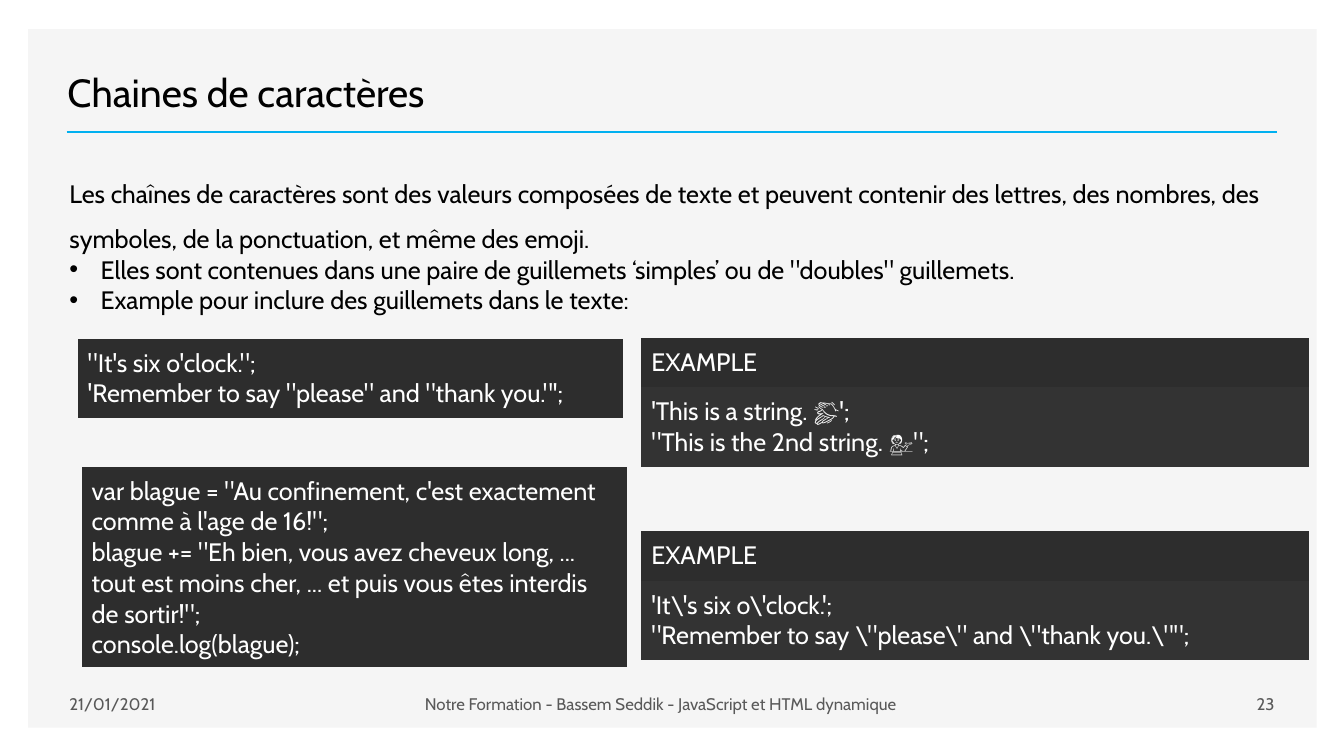
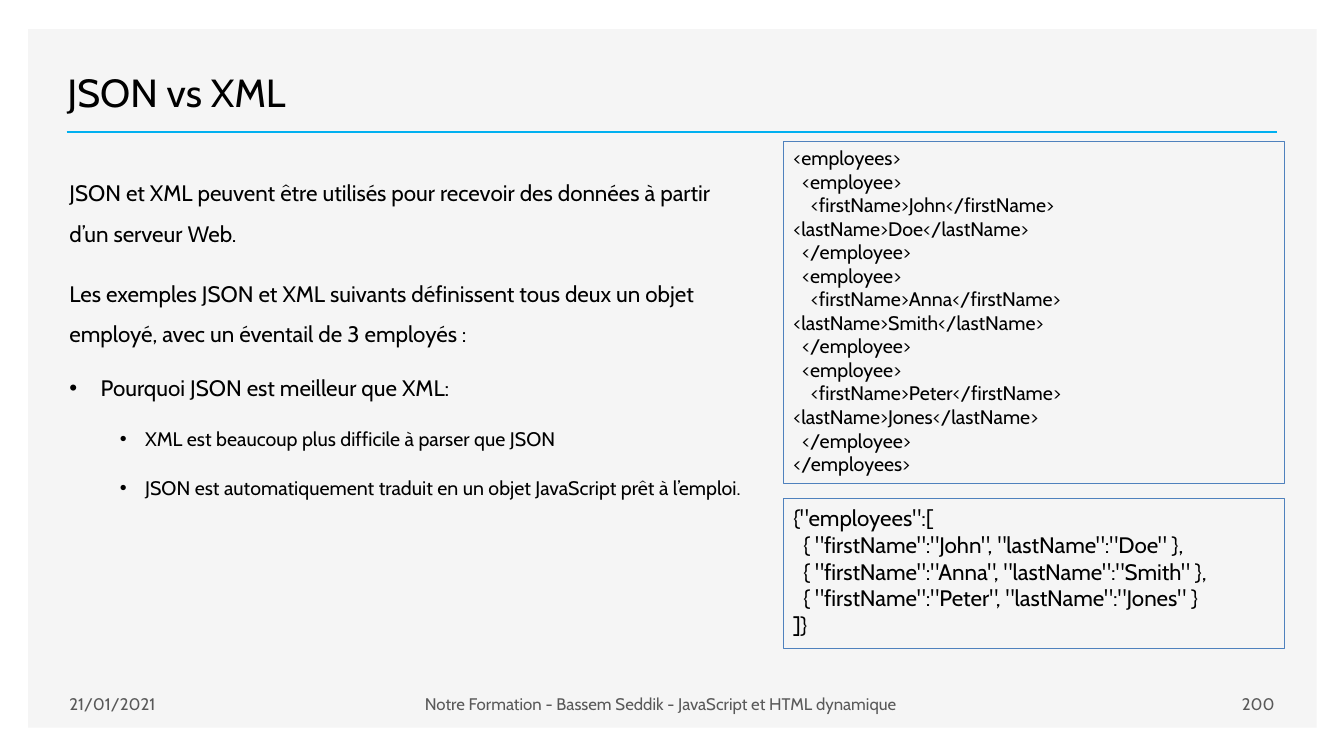
from lxml.etree import SubElement
from pptx import Presentation
from pptx.dml.color import RGBColor
from pptx.enum.shapes import MSO_CONNECTOR, MSO_SHAPE
from pptx.enum.text import MSO_ANCHOR, PP_ALIGN
from pptx.oxml.ns import qn
from pptx.util import Inches, Pt

FONT = "Cabin"
BLACK = RGBColor(0x00, 0x00, 0x00)
WHITE = RGBColor(0xFF, 0xFF, 0xFF)
PANEL = RGBColor(0xF5, 0xF5, 0xF5)
CYAN = RGBColor(0x00, 0xB0, 0xF0)
GREY = RGBColor(0x59, 0x59, 0x59)
BLUE = RGBColor(0x4F, 0x81, 0xBD)
DARK = RGBColor(0x2D, 0x2D, 0x2D)
CHARCOAL = RGBColor(0x33, 0x33, 0x33)

DATE = "21/01/2021"
COURSE = "Notre Formation - Bassem Seddik - JavaScript et HTML dynamique"
PLAIN_TABLE = "{2D5ABB26-0587-4C30-8999-92F81FD0307C}"


def set_bullet(p, margin, hang):
    pPr = p._p.get_or_add_pPr()
    pPr.set("marL", str(Inches(margin)))
    pPr.set("indent", str(-Inches(hang)))
    SubElement(pPr, qn("a:buFont")).set("typeface", "Arial")
    SubElement(pPr, qn("a:buChar")).set("char", "•")


def write(tf, text, size=18, color=BLACK, align=PP_ALIGN.LEFT, spacing=None,
          before=0, bullet=None):
    """Add one paragraph per line of text; bullet is (margin, hang) in inches."""
    for line in text.split("\n"):
        first = tf.paragraphs[0]
        p = tf.add_paragraph() if first.runs else first
        if bullet:
            set_bullet(p, *bullet)
        p.alignment = align
        if spacing:
            p.line_spacing = spacing
        if before:
            p.space_before = Pt(before)
        r = p.add_run()
        r.text = line
        r.font.name = FONT
        r.font.size = Pt(size)
        r.font.color.rgb = color


def add_text_frame(s, box, anchor=MSO_ANCHOR.TOP):
    tf = s.shapes.add_textbox(*map(Inches, box)).text_frame
    tf.word_wrap = True
    tf.vertical_anchor = anchor
    return tf


def add_rectangle(s, box, fill=None, line=None):
    sp = s.shapes.add_shape(MSO_SHAPE.RECTANGLE, *map(Inches, box))
    sp.shadow.inherit = False
    if fill is None:
        sp.fill.background()
    else:
        sp.fill.solid()
        sp.fill.fore_color.rgb = fill
    if line is None:
        sp.line.fill.background()
    else:
        sp.line.color.rgb = line
        sp.line.width = Pt(0.75)
    return sp


def add_footer(s, left, top, number):
    columns = ((1.68, DATE, PP_ALIGN.LEFT),
               (8.57, COURSE, PP_ALIGN.CENTER),
               (1.9, str(number), PP_ALIGN.RIGHT))
    for width, text, align in columns:
        tf = add_text_frame(s, (left, top, width, 0.4), MSO_ANCHOR.MIDDLE)
        write(tf, text, size=12, color=GREY, align=align)
        left += width


def add_base_slide(prs, title, number):
    """Blank slide with the panel, title, rule and footer."""
    s = prs.slides.add_slide(prs.slide_layouts[6])
    add_rectangle(s, (0.28, 0.29, 12.78, 6.93), fill=PANEL)
    rule = s.shapes.add_connector(MSO_CONNECTOR.STRAIGHT, Inches(0.66),
                                  Inches(1.31), Inches(12.67), Inches(1.31))
    rule.line.color.rgb = CYAN
    rule.line.width = Pt(2)
    SubElement(rule._element.spPr, qn("a:effectLst"))
    tf = add_text_frame(s, (0.57, 0.49, 12.01, 0.7), MSO_ANCHOR.BOTTOM)
    write(tf, title, size=28)
    add_footer(s, 0.59, 6.78, number)
    return s


def add_code_table(s, left, top, width, rows):
    """Single-column table; rows holds (height, fill, text)."""
    height = sum(row[0] for row in rows)
    frame = s.shapes.add_table(len(rows), 1, *map(Inches, (left, top, width, height)))
    table = frame.table
    table.first_row = False
    table.horz_banding = False
    table._tbl.tblPr.find(qn("a:tableStyleId")).text = PLAIN_TABLE
    for i, (row_height, fill, text) in enumerate(rows):
        table.rows[i].height = Inches(row_height)
        cell = table.cell(i, 0)
        cell.fill.solid()
        cell.fill.fore_color.rgb = fill
        cell.vertical_anchor = MSO_ANCHOR.MIDDLE
        cell.margin_left = cell.margin_right = Inches(0.1)
        cell.margin_top = cell.margin_bottom = Inches(0.09)
        write(cell.text_frame, text, color=WHITE)


def add_example(s, left, top, text):
    add_code_table(s, left, top, 6.62,
                   [(0.49, DARK, "EXAMPLE"), (0.79, CHARCOAL, text)])


def add_code_box(s, box, text, size):
    sp = add_rectangle(s, box, line=BLUE)
    tf = sp.text_frame
    tf.word_wrap = True
    tf.vertical_anchor = MSO_ANCHOR.TOP
    write(tf, text, size=size)


def build_strings_slide(prs):
    s = add_base_slide(prs, "Chaines de caractères", 23)
    tf = add_text_frame(s, (0.59, 1.57, 12.15, 4.98))
    write(tf, "Les chaînes de caractères sont des valeurs composées de texte et "
              "peuvent contenir des lettres, des nombres, des symboles, de la "
              "ponctuation, et même des emoji.", spacing=1.5)
    write(tf, "Elles sont contenues dans une paire de guillemets ‘simples’ ou de "
              '"doubles" guillemets.\n'
              "Example pour inclure des guillemets dans le texte:",
          bullet=(0.31, 0.31))

    add_example(s, 6.36, 3.35, "'This is a string. 👏';\n"
                               '"This is the 2nd string. 💁";')
    add_example(s, 6.36, 5.27, r"'It\'s six o\'clock.';" "\n"
                               r'"Remember to say \"please\" and \"thank you.\"";')
    quotes = ('"It\'s six o\'clock.";\n'
              "'Remember to say \"please\" and \"thank you.\"';")
    add_code_table(s, 0.77, 3.36, 5.41, [(0.79, DARK, quotes)])
    joke = ('var blague = "Au confinement, c\'est exactement comme à l\'age de 16!";\n'
            'blague += "Eh bien, vous avez cheveux long, ... tout est moins cher, '
            '... et puis vous êtes interdis de sortir!";\n'
            "console.log(blague);")
    add_code_table(s, 0.81, 4.63, 5.41, [(1.99, DARK, joke)])


def build_json_slide(prs):
    s = add_base_slide(prs, "JSON vs XML", 200)
    tf = add_text_frame(s, (0.59, 1.6, 6.99, 4.83))
    write(tf, "JSON et XML peuvent être utilisés pour recevoir des données à "
              "partir d’un serveur Web.", size=16, spacing=1.5)
    write(tf, "Les exemples JSON et XML suivants définissent tous deux un objet "
              "employé, avec un éventail de 3 employés :",
          size=16, spacing=1.5, before=14)
    write(tf, "Pourquoi JSON est meilleur que XML:",
          size=16, spacing=1.5, before=10, bullet=(0.31, 0.31))
    write(tf, "XML est beaucoup plus difficile à parser que JSON\n"
              "JSON est automatiquement traduit en un objet JavaScript prêt à l’emploi.",
          size=14, spacing=1.5, before=10, bullet=(0.75, 0.25))

    employees = (("John", "Doe"), ("Anna", "Smith"), ("Peter", "Jones"))
    xml_rows = [f"  <employee>\n    <firstName>{first}</firstName> "
                f"<lastName>{last}</lastName>\n  </employee>"
                for first, last in employees]
    json_rows = [f'  {{ "firstName":"{first}", "lastName":"{last}" }}'
                 for first, last in employees]
    add_code_box(s, (7.77, 1.4, 4.97, 3.4),
                 "\n".join(["<employees>", *xml_rows, "</employees>"]), 14)
    add_code_box(s, (7.77, 4.95, 4.97, 1.48),
                 '{"employees":[\n' + ",\n".join(json_rows) + "\n]}", 16)


def main():
    prs = Presentation()
    prs.slide_width = Inches(13.33)
    prs.slide_height = Inches(7.5)
    build_strings_slide(prs)
    build_json_slide(prs)
    prs.save("out.pptx")


if __name__ == "__main__":
    main()
